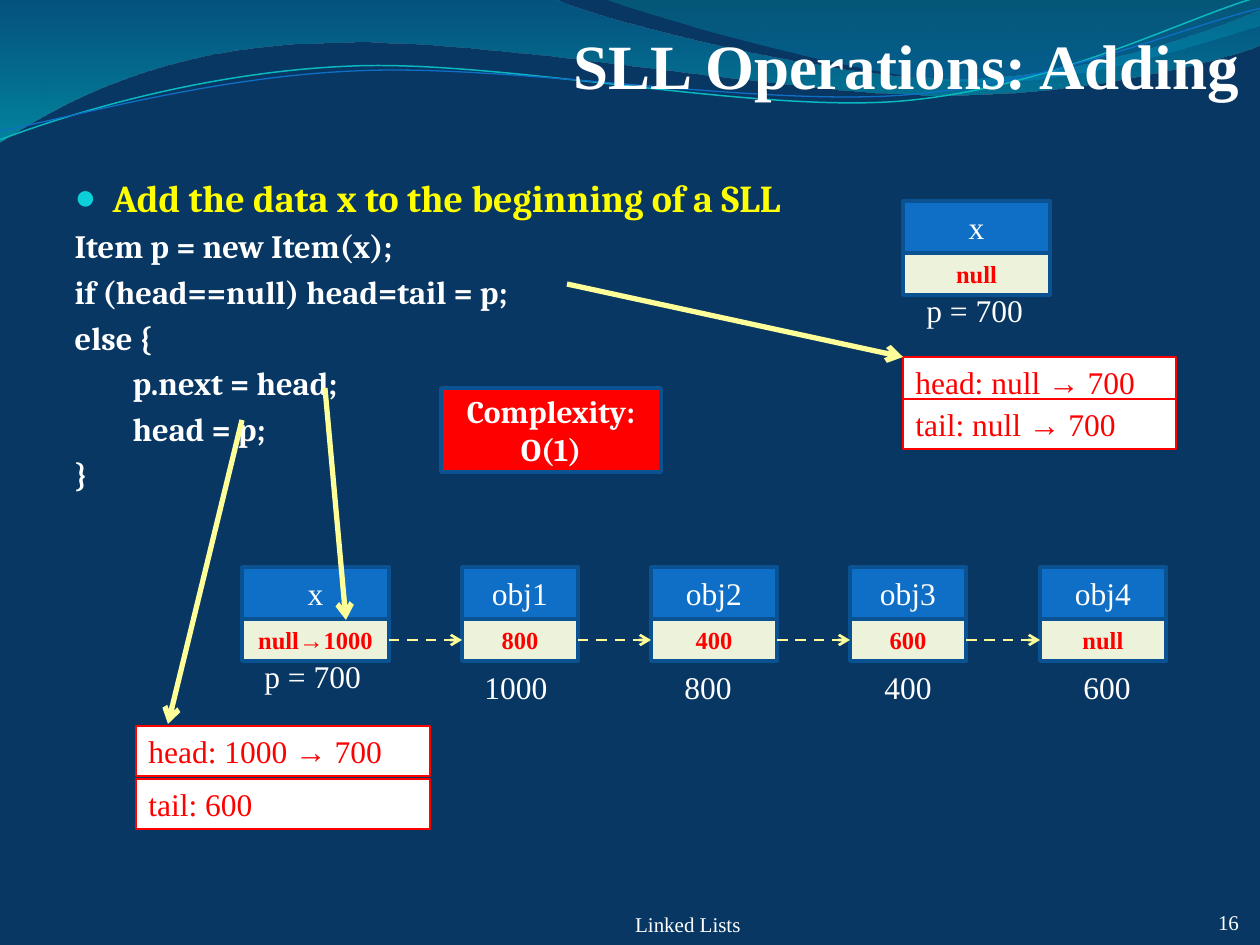
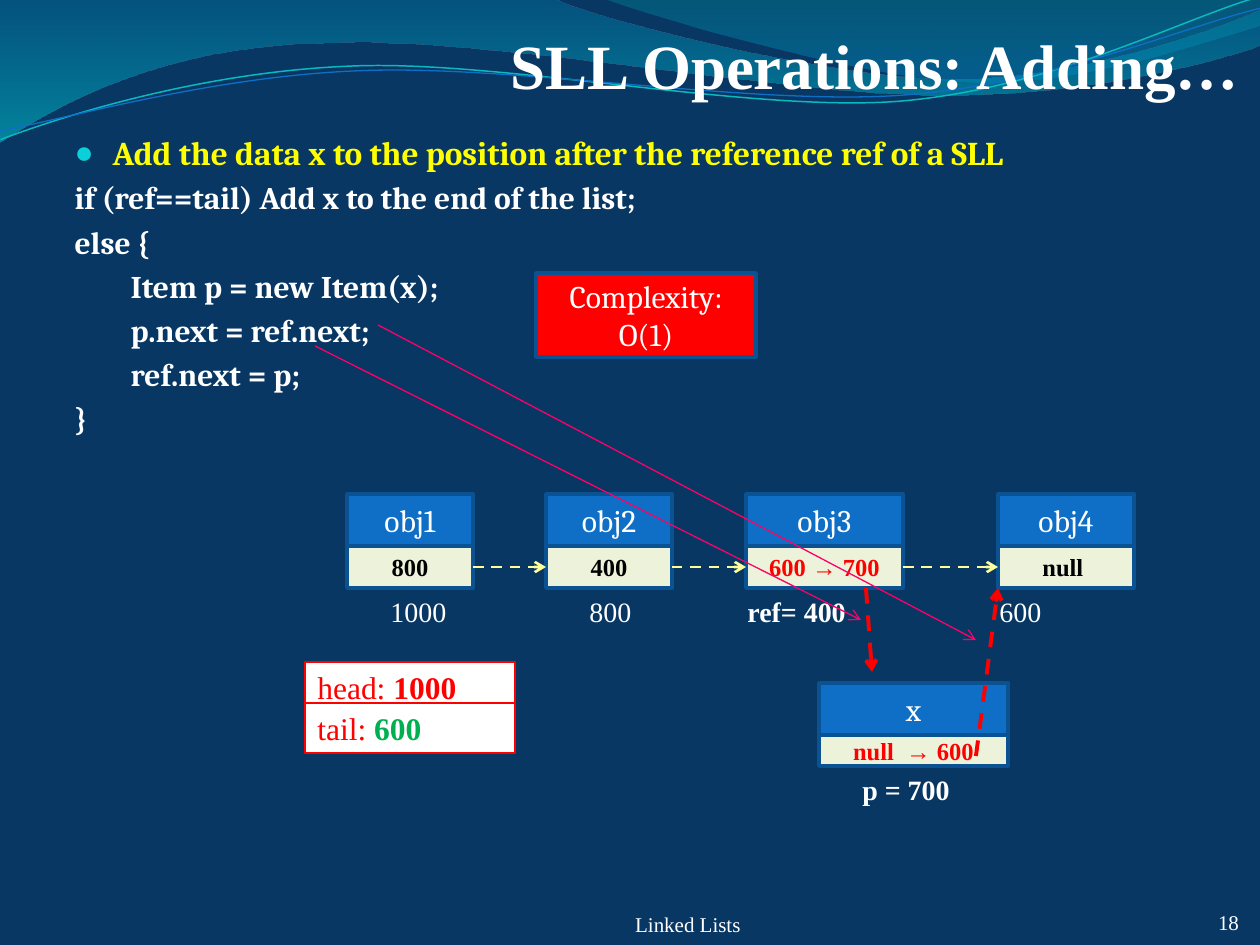
"""Build two slides on adding items to a singly linked list."""
import dataclasses
import pptx
import pptx.dml.color
import pptx.enum.dml
import pptx.enum.shapes
import pptx.enum.text
import pptx.oxml.ns
import pptx.util
from lxml import etree

PX = 914400 / 126
RGB = pptx.dml.color.RGBColor.from_string
PT = pptx.util.Pt
QN = pptx.oxml.ns.qn
ALIGN = pptx.enum.text.PP_ALIGN
ANCHOR = pptx.enum.text.MSO_ANCHOR
RECT = pptx.enum.shapes.MSO_SHAPE.RECTANGLE
DASH = pptx.enum.dml.MSO_LINE.DASH
NONE = pptx.enum.text.MSO_AUTO_SIZE.NONE


@dataclasses.dataclass(frozen=True)
class Theme:
    navy: str = "083763"
    blue: str = "0F6FC6"
    edge: str = "0B5292"
    cream: str = "EDF3DB"
    white: str = "FFFFFF"
    black: str = "000000"
    red: str = "FF0000"
    green: str = "00B050"
    gold: str = "FFFF00"
    pale: str = "FFFF99"
    pink: str = "FF0066"
    cyan: str = "0BD0D9"
    teal: str = "0AB8BF"
    serif: str = "Times New Roman"
    book: str = "Cambria"
    head: float = 36
    main: float = 18
    note: float = 16
    cell: float = 14
    foot: float = 12


T = Theme()
MID = {"vertical_anchor": ANCHOR.MIDDLE}
LOW = {"vertical_anchor": ANCHOR.BOTTOM, "margin_left": 0, "margin_right": 0,
       "margin_top": 0, "margin_bottom": 0}
PLAIN = {"name": T.serif, "size": PT(T.main), "bold": False}
TITLE = {"frame": LOW | {"margin_top": round(6 * PX), "auto_size": NONE},
         "align": ALIGN.RIGHT, "color": T.white,
         "font": {"name": T.serif, "size": PT(T.head), "bold": True}}
FOOT = {"frame": LOW, "align": ALIGN.CENTER, "color": T.white,
        "font": PLAIN | {"size": PT(T.foot)}}
LABEL = {"frame": {}, "align": ALIGN.LEFT, "color": T.white, "font": PLAIN}
REF = LABEL | {"fill": T.white, "line": T.red, "width": 0.75, "color": T.red}
NODE = {"fill": T.blue, "line": T.edge, "width": 2, "frame": MID,
        "align": ALIGN.CENTER, "color": T.white, "font": PLAIN}
VALUE = NODE | {"fill": T.cream, "font": PLAIN | {"size": PT(T.cell), "bold": True}}
COST = NODE | {"fill": T.red}
CHAIN = {"color": T.pale, "width": 1.5, "dash": DASH}
POINT = {"color": T.pale, "width": 3, "dash": None}
TRACE = {"color": T.pink, "width": 0.75, "dash": None}
MOVE = {"color": T.red, "width": 2.25, "dash": DASH}


def box(page, spot, runs, look, shape=None):
    if shape is None and "fill" in look:
        shape = page.shapes.add_shape(RECT, 0, 0, 0, 0)
        shape.shadow.inherit = False
        shape.fill.solid()
        shape.fill.fore_color.rgb = RGB(look["fill"])
        shape.line.color.rgb = RGB(look["line"])
        shape.line.width = PT(look["width"])
    elif shape is None:
        shape = page.shapes.add_textbox(0, 0, 0, 0)
    for key, val in zip(("left", "top", "width", "height"), spot):
        setattr(shape, key, round(val * PX))
    frame = shape.text_frame
    for key, val in ({"word_wrap": True, "vertical_anchor": ANCHOR.TOP} | look["frame"]).items():
        setattr(frame, key, val)
    par = frame.paragraphs[0]
    par.alignment = look["align"]
    for text, color, bold in runs:
        run = par.add_run()
        run.text = text
        for key, val in (look["font"] | ({"bold": True} if bold else {})).items():
            setattr(run.font, key, val)
        run.font.color.rgb = RGB(color or look["color"])
    return shape


def link(page, ends, look):
    line = page.shapes.add_connector(
        pptx.enum.shapes.MSO_CONNECTOR.STRAIGHT, *(round(val * PX) for val in ends))
    line.line.color.rgb = RGB(look["color"])
    line.line.width = PT(look["width"])
    if look["dash"]:
        line.line.dash_style = look["dash"]
    stroke = line._element.find(".//" + QN("a:ln"))
    etree.SubElement(stroke, QN("a:tailEnd")).set("type", "arrow")
    etree.SubElement(line._element.spPr, QN("a:effectLst"))
    return line


WAVES = [
    {"start": (0, 0), "stops": [(0, "0074A1", 45), (1, "00C6CF", 55)],
     "steps": [(554, -1), (600, 21, 837, 79, 955, 79), (1075, 79, 1207, 33, 1260, 11),
               (1261, 45), (1239, 55, 1096, 96, 940, 95), (784, 95, 481, 35, 324, 43),
               (163, 45, 58, 105, -1, 142)]},
    {"start": (604, -1), "stops": [(0, "00A1A9", 30), (0.8, "008BBF", 45)],
     "steps": [(641, 14, 859, 78, 969, 82), (1079, 87, 1211, 40, 1260, 26), (1260, 0)]},
    {"start": (-2, 110), "line": (T.teal, 0.85),
     "steps": [(59, 90, 200, 52, 350, 53), (499, 53, 745, 118, 896, 114),
               (1049, 109, 1184, 45, 1260, 27)]},
    {"start": (-2, 101), "line": (T.blue, 0.75),
     "steps": [(58, 94, 207, 57, 357, 58), (509, 58, 751, 112, 902, 108),
               (1052, 104, 1188, 52, 1263, 38)]},
]

PAGES = [
    {"title": "SLL Operations: Adding", "num": "16",
     "body": (62, 168, 798, 305), "sizes": (21.7, 18.6), "tab": 58,
     "lines": [(0, "Add the data x to the beginning of a SLL"), (0, "Item p = new Item(x);"),
               (0, "if (head==null) head=tail = p;"), (0, "else {"),
               (1, "p.next = head;"), (1, "head = p;"), (0, "}")],
     "face": T.serif, "note": T.main, "cost": (441, 388, 220, 84), "bold": True,
     "row": 567,
     "chain": [(242, 147, "x", "null→1000", T.red), (462, 116, "obj1", "800", T.red),
               (651, 126, "obj2", "400", T.red), (850, 116, "obj3", "600", T.red),
               (1040, 126, "obj4", "null", T.red)],
     "loose": (903, 201, 147, 42, "x", "null"),
     "notes": [(472, 662, 116, "1000", False), (672, 662, 84, "800", False),
               (872, 662, 84, "400", False), (1071, 662, 84, "600", False),
               (252, 651, 126, "p = 700", False), (914, 285, 126, "p = 700", False)],
     "refs": [(903, 357, 273, [("head: null → 700", None, False)]),
              (903, 399, 273, [("tail: null → 700", None, False)]),
              (136, 726, 294, [("head: 1000 → 700", None, False)]),
              (136, 779, 294, [("tail: 600", None, False)])],
     "links": [((567, 284, 903, 357), POINT), ((325, 388, 346, 620), POINT),
               ((242, 420, 168, 724), POINT)]},
    {"title": "SLL Operations: Adding…", "num": "18",
     "body": (62, 126, 1134, 305), "sizes": (19, 18), "tab": 56,
     "lines": [(0, "Add the data x to the position after the reference ref of a SLL"),
               (0, "if (ref==tail) Add x to the end of the list;"), (0, "else {"),
               (1, "Item p = new Item(x);"), (1, "p.next = ref.next;"),
               (1, "ref.next = p;"), (0, "}")],
     "face": T.book, "note": T.note, "cost": (536, 273, 220, 84), "bold": False,
     "row": 494,
     "chain": [(347, 126, "obj1", "800", T.black), (546, 126, "obj2", "400", T.black),
               (746, 157, "obj3", "600 → 700", T.red), (998, 136, "obj4", "null ", T.black)],
     "loose": (819, 683, 189, 31, "x", "null  → 600"),
     "notes": [(378, 588, 84, "1000", False), (577, 588, 84, "800", False),
               (735, 588, 168, "ref= 400", True), (987, 588, 84, "600", False),
               (850, 766, 126, "p = 700", True)],
     "refs": [(305, 662, 210, [("head: ", None, False), ("1000", None, True)]),
              (305, 703, 210, [("tail: ", None, False), ("600", T.green, True)])],
     "links": [((378, 325, 976, 640), TRACE), ((315, 346, 861, 620), TRACE),
               ((976, 756, 998, 588), MOVE), ((866, 588, 872, 672), MOVE)]},
]

deck = pptx.Presentation()
deck.slide_width = round(1260 * PX)
deck.slide_height = round(945 * PX)
back = deck.slide_master.background.fill
back.solid()
back.fore_color.rgb = RGB(T.navy)
base = deck.slide_layouts[1]
slides = [deck.slides.add_slide(base) for page in PAGES]

for rank, wave in enumerate(WAVES):
    spots = [spot for step in wave["steps"] for spot in zip(step[::2], step[1::2])]
    x, y = wave["start"]
    form = slides[0].shapes.build_freeform(round(x * PX), round(y * PX))
    form.add_line_segments([(round(h * PX), round(v * PX)) for h, v in spots],
                           close="stops" in wave)
    shape = form.convert_to_shape()
    shape.shadow.inherit = False
    parts = iter(list(shape._element.iter(QN("a:lnTo"))))
    for step in wave["steps"]:
        curve = next(parts)
        if len(step) == 6:
            curve.tag = QN("a:cubicBezTo")
            for extra in (next(parts), next(parts)):
                curve.append(extra[0])
                extra.getparent().remove(extra)
    if "stops" in wave:
        shape.line.fill.background()
        shape.fill.gradient()
        shape.fill.gradient_angle = 270
        for stop, (place, color, alpha) in zip(shape.fill.gradient_stops, wave["stops"]):
            stop.position = place
            stop.color.rgb = RGB(color)
        tints = list(shape._element.iter(QN("a:srgbClr")))
        for tint, (place, color, alpha) in zip(tints, wave["stops"]):
            etree.SubElement(tint, QN("a:alpha")).set("val", str(alpha * 1000))
    else:
        shape.rotation = 357.3
        shape.fill.background()
        shape.line.color.rgb = RGB(wave["line"][0])
        shape.line.width = PT(wave["line"][1])
    base.shapes._spTree.insert(2 + rank, shape._element)

for slide, page in zip(slides, PAGES):
    box(slide, (63, 10, 1176, 92), [(page["title"], None, True)], TITLE, slide.shapes.title)

    body = slide.placeholders[1]
    for key, val in zip(("left", "top", "width", "height"), page["body"]):
        setattr(body, key, round(val * PX))
    frame = body.text_frame
    frame.auto_size = NONE
    for rank, (depth, text) in enumerate(page["lines"]):
        first = rank == 0
        par = frame.paragraphs[0] if first else frame.add_paragraph()
        run = par.add_run()
        run.text = text
        size = page["sizes"][0 if first else 1]
        for key, val in {"name": T.book, "size": PT(size), "bold": True}.items():
            setattr(run.font, key, val)
        run.font.color.rgb = RGB(T.gold if first else T.white)
        props = par._p.get_or_add_pPr()
        props.set("marL", str(round((38 if first else depth * page["tab"]) * PX)))
        props.set("indent", str(round(-38 * PX) if first else 0))
        if first:
            tint = etree.SubElement(props, QN("a:buClr"))
            etree.SubElement(tint, QN("a:srgbClr")).set("val", T.cyan)
            etree.SubElement(props, QN("a:buSzPct")).set("val", "95000")
            etree.SubElement(props, QN("a:buChar")).set("char", "●")
        else:
            etree.SubElement(props, QN("a:buNone"))

    node = NODE | {"font": PLAIN | {"name": page["face"]}}
    nodes = [(x, page["row"], w, 42, name, val, color)
             for x, w, name, val, color in page["chain"]]
    nodes.append(page["loose"] + (T.red,))
    cells = []
    for x, y, w, h, name, val, color in nodes:
        box(slide, (x, y, w, 52), [(name, None, False)], node)
        cells.append(box(slide, (x, y + 52, w, h), [(val, color, True)], VALUE))
    chain = cells[:-1]
    for prev, cell in zip(chain, chain[1:]):
        line = link(slide, (0, 0, 0, 0), CHAIN)
        line.begin_connect(prev, 3)
        line.end_connect(cell, 1)

    note = LABEL | {"font": PLAIN | {"size": PT(page["note"])}}
    for x, y, w, text, bold in page["notes"]:
        box(slide, (x, y, w, 50), [(text, None, bold)], note)
    for x, y, w, runs in page["refs"]:
        box(slide, (x, y, w, 50), runs, REF)
    cost = COST | {"font": PLAIN | {"name": T.book}}
    box(slide, page["cost"], [("Complexity: O(1)", None, page["bold"])], cost)
    for ends, look in page["links"]:
        link(slide, ends, look)

    box(slide, (1166, 903, 73, 32), [(page["num"], None, False)], FOOT | {"align": ALIGN.RIGHT})
    box(slide, (494, 903, 388, 34), [("Linked Lists", None, False)], FOOT)

deck.save("out.pptx")
